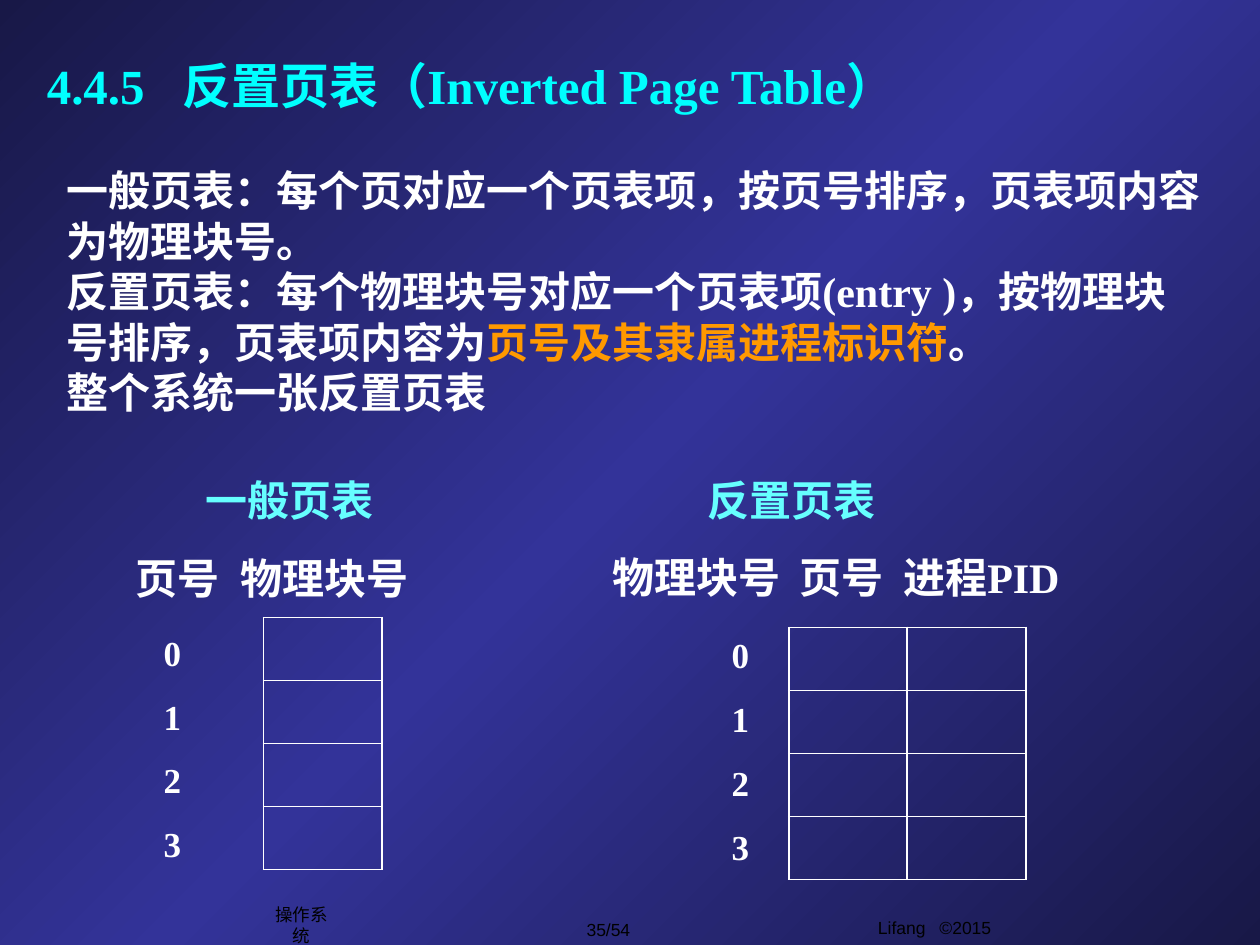
from copy import deepcopy
from dataclasses import dataclass

from lxml import etree
from pptx import Presentation
from pptx.dml.color import RGBColor
from pptx.enum.text import MSO_ANCHOR, PP_ALIGN
from pptx.oxml.ns import qn
from pptx.slide import Slide
from pptx.text.text import TextFrame
from pptx.util import Cm, Pt

LEFT, CENTER = PP_ALIGN.LEFT, PP_ALIGN.CENTER
TOP, MIDDLE = MSO_ANCHOR.TOP, MSO_ANCHOR.MIDDLE
SERIF, SANS = "Times New Roman", "Arial"
WHITE, BLACK, CYAN, AQUA, ORANGE = "FFFFFF", "000000", "00FFFF", "66FFFF", "FF9900"
DARK, BLUE = "181847", "333399"
ROWS, COLUMN_WIDTH, ROW_HEIGHT = 4, 2.39, 1.27
OUTER_LINE, INNER_LINE = 1.08, 0.45


@dataclass
class Label:
    """Text in a box (cm); each paragraph is a list of (text, colour) runs."""
    box: tuple[float, float, float, float]
    paragraphs: list[list[tuple[str, str]]]
    size: float = 24
    font: str = SERIF
    bold: bool = True
    align: PP_ALIGN = LEFT
    anchor: MSO_ANCHOR = TOP
    wrap: bool = True
    tabs: tuple[float, ...] = ()
    space_before: float = 0


@dataclass
class PageTable:
    left: float
    top: float


TITLE = Label((0.69, 0.99, 21.59, 1.45),
              [[("4.4.5\t反置页表（Inverted Page Table）", CYAN)]], size=28, tabs=(2.74,))
DIGITS = [[(str(number), WHITE)] for number in range(ROWS)]
LABELS = [
    Label((1.09, 3.2, 23.5, 5.33), [
        [("一般页表：每个页对应一个页表项，按页号排序，页表项内容为物理块号。", WHITE)],
        [("反置页表：每个物理块号对应一个页表项(entry )，按物理块号排序，页表项内容为", WHITE),
         ("页号及其隶属进程标识符", ORANGE), ("。", WHITE)],
        [("整个系统一张反置页表", WHITE)],
    ]),
    Label((3.89, 9.45, 18.01, 2.29), [[("一般页表\t反置页表", AQUA)]], tabs=(10.13,)),
    Label((2.49, 11.02, 6.2, 2.29), [[("页号\t物理块号", WHITE)]], tabs=(2.1,)),
    Label((12.09, 11, 11.81, 1.27), [[("物理块号\t页号\t进程PID", WHITE)]], tabs=(3.78, 5.87)),
    Label((3.05, 12.6, 2.01, 4.98), DIGITS, size=20, space_before=12.5),
    Label((14.5, 12.65, 1.19, 4.98), DIGITS, size=20, space_before=12.5),
    Label((17.45, 18.36, 5.43, 0.89), [[("Lifang\t©2015", BLACK)]], 10, SANS, False,
          tabs=(1.24,)),
    Label((10.97, 18.39, 2.59, 0.69), [[("35/54", BLACK)]], 10, SANS, False,
          CENTER, MIDDLE, False),
    Label((5.13, 18.31, 1.9, 0.69), [[("操作系统", BLACK)]], 10, SANS, False,
          CENTER, MIDDLE, False),
]
TABLES = [PageTable(5.31, 12.45), PageTable(15.9, 12.65), PageTable(18.29, 12.65)]


def color(value: str) -> RGBColor:
    return RGBColor.from_string(value)


def write_label(frame: TextFrame, label: Label) -> None:
    frame.word_wrap = label.wrap
    frame.vertical_anchor = label.anchor
    for index, runs in enumerate(label.paragraphs):
        paragraph = frame.add_paragraph() if index else frame.paragraphs[0]
        if label.tabs:
            tab_list = etree.SubElement(paragraph._p.get_or_add_pPr(), qn("a:tabLst"))
            for position in label.tabs:
                etree.SubElement(tab_list, qn("a:tab"), pos=str(Cm(position)), algn="l")
        paragraph.alignment = label.align
        paragraph.space_before = Pt(label.space_before if index else 0)
        for text, run_color in runs:
            run = paragraph.add_run()
            run.text = text
            run.font.size = Pt(label.size)
            run.font.name = label.font
            run.font.bold = label.bold
            run.font.color.rgb = color(run_color)


def add_label(slide: Slide, label: Label) -> None:
    shape = slide.shapes.add_textbox(*map(Cm, label.box))
    write_label(shape.text_frame, label)


def add_page_table(slide: Slide, page_table: PageTable) -> None:
    frame = slide.shapes.add_table(ROWS, 1, Cm(page_table.left), Cm(page_table.top),
                                   Cm(COLUMN_WIDTH), Cm(ROW_HEIGHT * ROWS))
    table = frame.table
    table.first_row = table.horz_banding = False
    for row in range(ROWS):
        cell = table.cell(row, 0)
        widths = {
            "a:lnL": OUTER_LINE,
            "a:lnR": OUTER_LINE,
            "a:lnT": INNER_LINE if row else OUTER_LINE,
            "a:lnB": INNER_LINE if row < ROWS - 1 else OUTER_LINE,
        }
        properties = cell._tc.get_or_add_tcPr()
        for tag, width in widths.items():
            line = etree.SubElement(properties, qn(tag), w=str(Pt(width)))
            fill = etree.SubElement(line, qn("a:solidFill"))
            etree.SubElement(fill, qn("a:srgbClr"), val=WHITE)
        cell.fill.background()


def paint_background(slide: Slide) -> None:
    fill = slide.background.fill
    fill.gradient()
    fill.gradient_angle = 315
    stop_list = next(slide.element.iter(qn("a:gsLst")))
    stop_list.insert(1, deepcopy(stop_list[0]))
    for stop, position, value in zip(fill.gradient_stops, (0, 0.5, 1), (DARK, BLUE, DARK)):
        stop.position = position
        stop.color.rgb = color(value)


def main() -> None:
    presentation = Presentation()
    presentation.slide_width, presentation.slide_height = Cm(25.4), Cm(19.05)
    slide = presentation.slides.add_slide(presentation.slide_layouts[5])
    paint_background(slide)

    title = slide.shapes.title
    title.left, title.top, title.width, title.height = map(Cm, TITLE.box)
    write_label(title.text_frame, TITLE)

    for page_table in TABLES:
        add_page_table(slide, page_table)
    for label in LABELS:
        add_label(slide, label)
    presentation.save("out.pptx")


if __name__ == "__main__":
    main()
